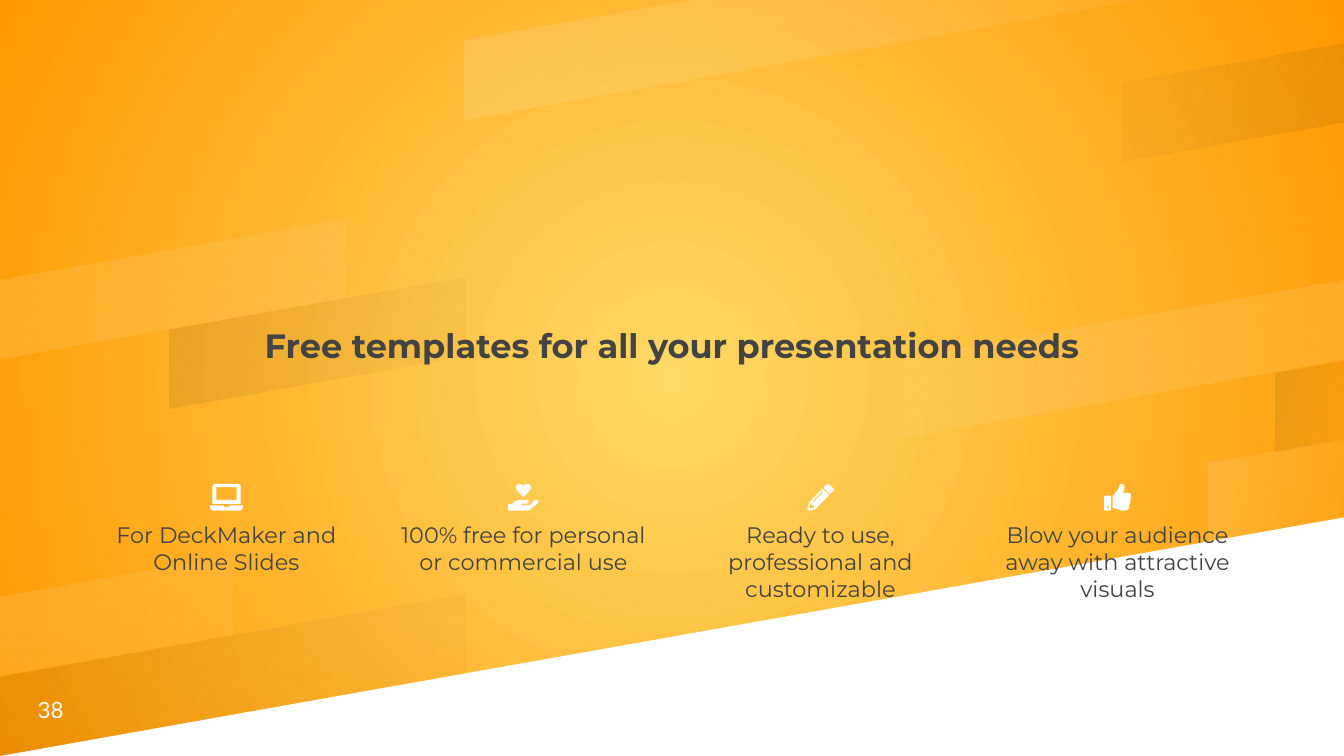
from dataclasses import dataclass

from lxml import etree
from pptx import Presentation
from pptx.dml.color import RGBColor
from pptx.enum import text as t
from pptx.oxml.ns import qn
from pptx.util import Inches, Pt


@dataclass(frozen=True)
class Theme:
    glow: str = "FFD966"
    edge: str = "FF9900"
    ink: str = "434343"
    light: str = "FFFFFF"
    dark: str = "00001A"
    head: str = "Montserrat"
    num: str = "Lato"
    big: int = 18
    small: int = 12


THEME = Theme()
WIDE, HIGH = 10, 5.625
SLOPE = 0.177  # rise of every slanted edge per inch of width
BAND = 0.59    # upright thickness of a band

# left, top of the left side, right, colour, opacity at both ends in percent
BANDS = [
    (3.46, 0.3, WIDE, THEME.light, (12, 5)),
    (0, 5.03, 3.46, THEME.dark, (8, 2)),
    (8.99, 3.44, WIDE, THEME.light, (12, 5)),
    (0, 4.44, 1.73, THEME.light, (12, 5)),
    (9.49, 2.77, WIDE, THEME.dark, (8, 2)),
    (6.68, 2.67, WIDE, THEME.light, (5, 12)),
    (1.26, 2.45, 3.46, THEME.dark, (8, 2)),
    (0, 2.08, 2.57, THEME.light, (12, 5)),
    (8.35, 0.61, WIDE, THEME.dark, (2, 8)),
]

# Icon outlines in thousandths of an inch, from the top centre of the icon
LAPTOP = [
    [(-90, 0), (90, 0), (105, 15), (105, 150), (-105, 150), (-105, 15)],
    [(-75, 25), (-75, 120), (75, 120), (75, 25)],
    [(-125, 160), (-25, 160), (-15, 173), (15, 173), (25, 160), (125, 160),
     (120, 185), (100, 200), (-100, 200), (-120, 185)],
]
GIFT = [
    [(0, 100), (-50, 48), (-57, 28), (-50, 10), (-35, 0), (-18, 2), (0, 15),
     (18, 2), (35, 0), (50, 10), (57, 28), (50, 48)],
    [(-35, 120), (-65, 130), (-85, 150), (-110, 150), (-115, 155),
     (-115, 195), (-110, 200), (35, 200), (50, 193), (110, 142), (113, 132),
     (107, 122), (95, 120), (85, 122), (55, 150), (42, 160), (-12, 160),
     (-18, 155), (-12, 148), (25, 148), (38, 140), (38, 127), (30, 120)],
]
PENCIL = [
    [(55, 0), (47, 4), (25, 26), (25, 32), (68, 75), (74, 75), (95, 53),
     (98, 47), (98, 38), (95, 34), (64, 4)],
    [(13, 38), (-85, 138), (-98, 190), (-96, 198), (-88, 200), (-38, 188),
     (63, 87), (62, 82), (18, 38)],
    [(14, 60), (18, 66), (-47, 132), (-53, 132), (-53, 125), (10, 62)],
    [(-67, 142), (-67, 160), (-48, 160), (-48, 177), (-75, 184), (-83, 175),
     (-75, 142)],
]
THUMB = [
    [(-95, 88), (-53, 88), (-48, 94), (-48, 194), (-53, 200), (-95, 200),
     (-99, 194), (-99, 94)],
    [(-74, 163), (-83, 172), (-74, 182), (-64, 172)],
    [(25, 0), (15, 8), (8, 30), (2, 45), (-12, 60), (-28, 82), (-36, 90),
     (-36, 175), (-30, 182), (-8, 186), (15, 195), (28, 200), (58, 200),
     (75, 194), (85, 180), (86, 162), (95, 150), (96, 128), (97, 108),
     (100, 85), (95, 72), (80, 66), (38, 66), (48, 48), (53, 28), (48, 10),
     (38, 0)],
]
ITEMS = [
    (LAPTOP, "For DeckMaker and Online Slides"),
    (GIFT, "100% free for personal or commercial use"),
    (PENCIL, "Ready to use, professional and customizable"),
    (THUMB, "Blow your audience away with attractive visuals"),
]


def color(code):
    return RGBColor.from_string(code)


def outline(slide, loops):
    """Add one borderless shape from closed loops of points in inches."""
    loops = [[(Inches(x), Inches(y)) for x, y in loop] for loop in loops]
    pen = slide.shapes.build_freeform(*loops[0][0], scale=1.0)
    for i, loop in enumerate(loops):
        if i:
            pen.move_to(*loop[0])
        pen.add_line_segments(loop[1:], close=True)
    shape = pen.convert_to_shape()
    shape.shadow.inherit = False
    shape.line.fill.background()
    return shape


def solid(shape, code):
    shape.fill.solid()
    shape.fill.fore_color.rgb = color(code)


def blend(fill, codes):
    fill.gradient()
    for stop, code in zip(fill.gradient_stops, codes):
        stop.color.rgb = color(code)


def label(slide, box, words, size, font, code, bold=False,
          align=t.PP_ALIGN.CENTER, anchor=t.MSO_ANCHOR.TOP):
    frame = slide.shapes.add_textbox(*map(Inches, box)).text_frame
    frame.word_wrap = True
    frame.vertical_anchor = anchor
    frame.margin_left = frame.margin_right = 0
    frame.margin_top = frame.margin_bottom = 0
    frame.text = words
    para = frame.paragraphs[0]
    para.alignment = align
    font_of = para.runs[0].font
    font_of.name, font_of.size, font_of.bold = font, Pt(size), bold
    font_of.color.rgb = color(code)


def backdrop(slide):
    """Fill the slide with a glow from its centre."""
    blend(slide.background.fill, (THEME.glow, THEME.edge))
    grad = slide.background._cSld.find(".//" + qn("a:gradFill"))
    grad.remove(grad.find(qn("a:lin")))
    ring = etree.SubElement(grad, qn("a:path"), {"path": "circle"})
    sides = dict.fromkeys("ltrb", "50000")
    etree.SubElement(ring, qn("a:fillToRect"), sides)


def band(slide, left, top, right, code, alphas):
    """Add a slanted band, cut off at the top edge of the slide."""
    def edge(y):
        end = min(right, left + y / SLOPE)
        return end, y - SLOPE * (end - left)

    low = top + BAND
    shape = outline(slide, [[(left, top), (left, low), edge(low), edge(top)]])
    blend(shape.fill, (code, code))
    shape.fill.gradient_angle = 350
    marks = shape._element.spPr.iter(qn("a:srgbClr"))
    for mark, alpha in zip(marks, alphas):
        etree.SubElement(mark, qn("a:alpha"), val=str(alpha * 1000))


def feature(slide, box, icon, words):
    """Place an icon centred above its caption."""
    left, top, wide, high = box
    mid = left + wide / 2
    loops = [[(mid + x / 1000, top + y / 1000) for x, y in loop]
             for loop in icon]
    solid(outline(slide, loops), THEME.light)
    label(slide, (left, top + 0.28, wide, high - 0.28), words,
          THEME.small, THEME.head, THEME.ink)


def main():
    deck = Presentation()
    deck.slide_width, deck.slide_height = Inches(WIDE), Inches(HIGH)
    slide = deck.slides.add_slide(deck.slide_layouts[6])
    backdrop(slide)
    wedge = outline(slide, [[(0, HIGH), (WIDE, HIGH), (WIDE, 3.85)]])
    solid(wedge, THEME.light)
    for spec_row in BANDS:
        band(slide, *spec_row)
    label(slide, (1.21, 2.42, 7.58, 0.29),
          "Free templates for all your presentation needs",
          THEME.big, THEME.head, THEME.ink, bold=True)
    for i, (icon, words) in enumerate(ITEMS):
        feature(slide, (0.76 + 2.21 * i, 3.6, 1.85, 0.98), icon, words)
    label(slide, (0.28, 5.11, 0.53, 0.27), "38", THEME.small, THEME.num,
          THEME.light, align=t.PP_ALIGN.LEFT, anchor=t.MSO_ANCHOR.BOTTOM)
    deck.save("out.pptx")


if __name__ == "__main__":
    main()
